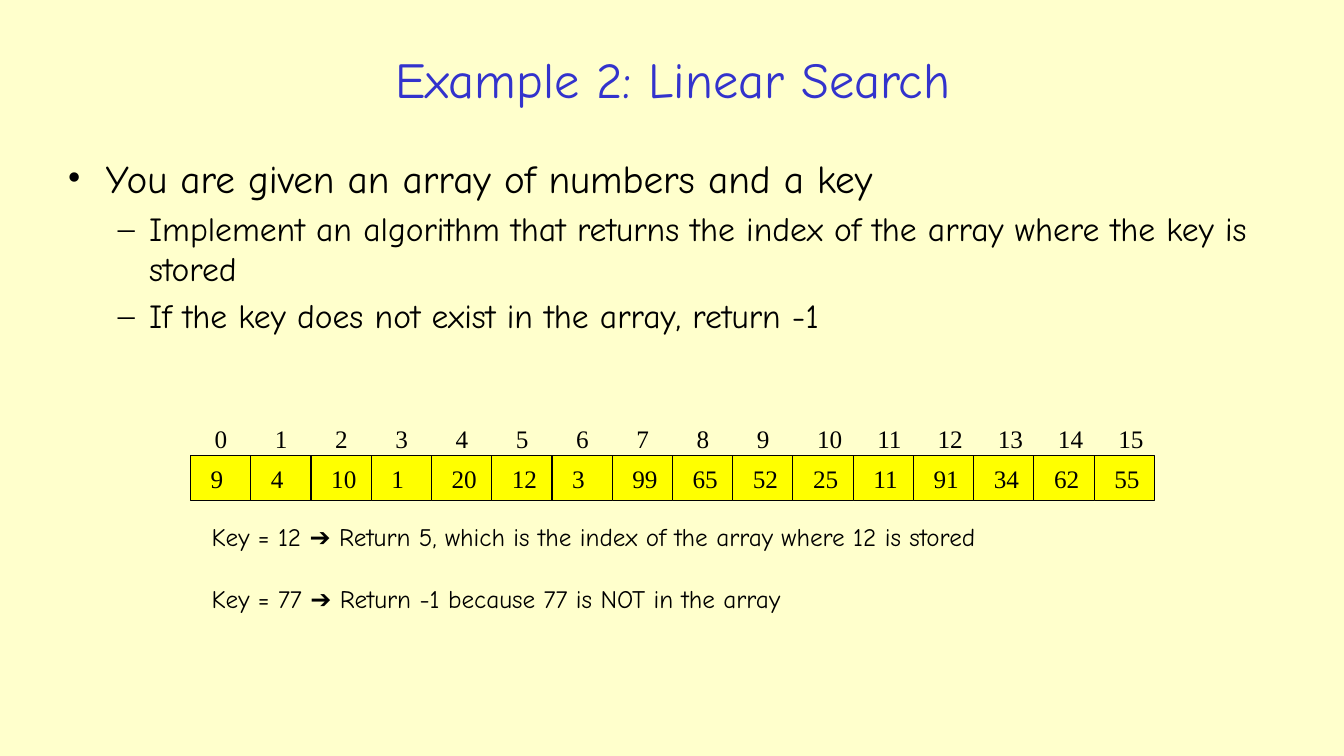
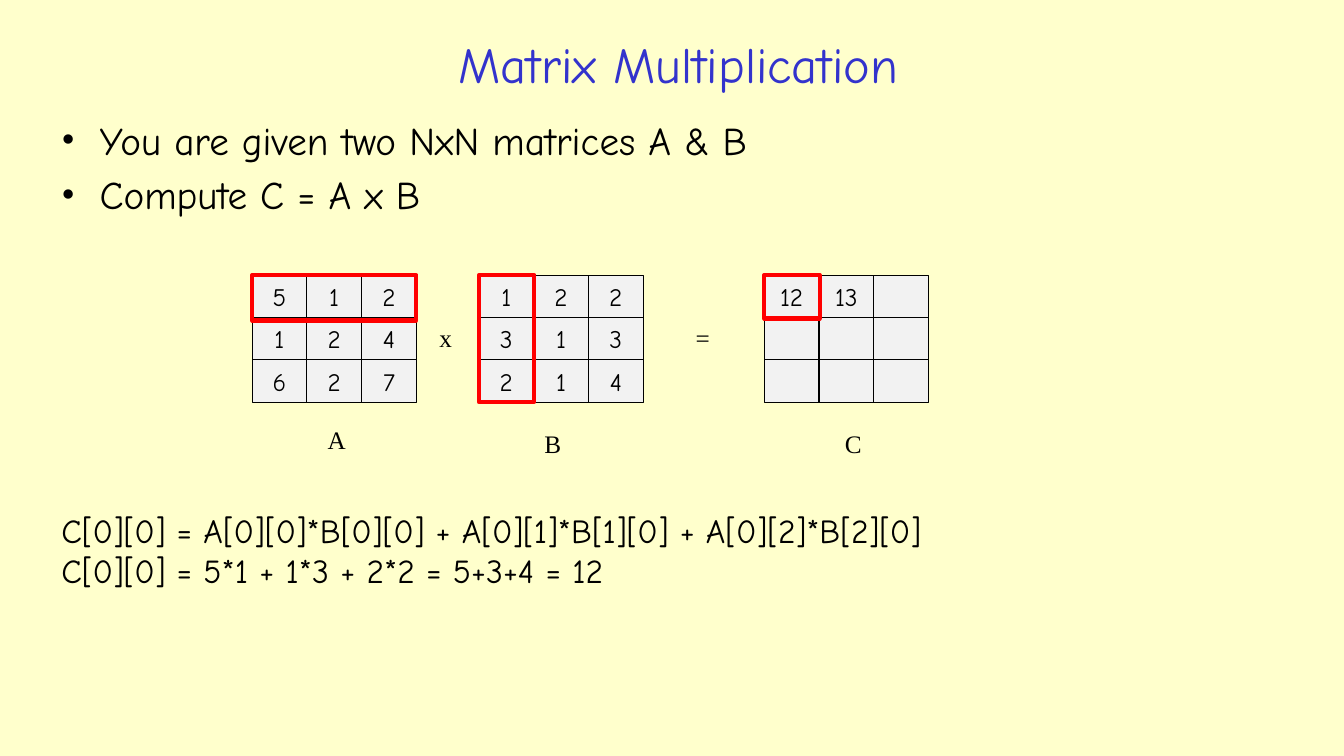
from lxml.etree import SubElement
from pptx import Presentation
from pptx.dml.color import RGBColor
from pptx.enum.shapes import MSO_SHAPE
from pptx.enum.text import MSO_ANCHOR, PP_ALIGN
from pptx.oxml.ns import qn
from pptx.util import Inches, Pt

COLORS = {
    "background": "FFFFCC",
    "title": "3333CC",
    "text": "000000",
    "array": "FFFF00",
    "matrix": "F2F2F2",
    "highlight": "FF0000",
}
COMIC, TIMES = "Comic Neue", "Times New Roman"
FONTS = {
    "title": {"name": COMIC, "size": Pt(36)},
    "bullet": {"name": COMIC, "size": Pt(28)},
    "sub_bullet": {"name": COMIC, "size": Pt(24)},
    "formula": {"name": COMIC, "size": Pt(24)},
    "note": {"name": COMIC, "size": Pt(18)},
    "label": {"name": TIMES, "size": Pt(18)},
}
BULLETS = [
    {"char": "•", "font": "bullet", "left": 0.38, "hang": 0.38},
    {"char": "–", "font": "sub_bullet", "left": 0.81, "hang": 0.31},
]


class Deck:
    def __init__(self):
        self.prs = Presentation()
        self.prs.slide_width, self.prs.slide_height = Inches(13.33), Inches(7.5)

    def rgb(self, color):
        return RGBColor.from_string(COLORS[color])

    def new_slide(self):
        self.s = self.prs.slides.add_slide(self.prs.slide_layouts[6])
        fill = self.s.background.fill
        fill.solid()
        fill.fore_color.rgb = self.rgb("background")

    def add_text(self, p, text, font, color="text", align=PP_ALIGN.LEFT):
        p.alignment = align
        r = p.add_run()
        r.text = text
        for attr, value in FONTS[font].items():
            setattr(r.font, attr, value)
        r.font.color.rgb = self.rgb(color)

    def frame(self, x, y, w, h, wrap=True):
        tf = self.s.shapes.add_textbox(*map(Inches, (x, y, w, h))).text_frame
        tf.word_wrap = wrap
        return tf

    def title(self, text, x, y, w, h):
        tf = self.frame(x, y, w, h)
        tf.vertical_anchor = MSO_ANCHOR.MIDDLE
        self.add_text(tf.paragraphs[0], text, "title", "title", PP_ALIGN.CENTER)

    def lines(self, texts, font, x, y, w, h, wrap=True):
        tf = self.frame(x, y, w, h, wrap)
        for i, text in enumerate(texts):
            p = tf.add_paragraph() if i else tf.paragraphs[0]
            self.add_text(p, text, font)

    def label(self, text, x, y):
        self.lines([text], "label", x, y, 0.45, 0.4, wrap=False)

    def bullets(self, items, x, y, w, h):
        tf = self.frame(x, y, w, h)
        for i, (level, text) in enumerate(items):
            p = tf.add_paragraph() if i else tf.paragraphs[0]
            style = BULLETS[level]
            p.level = level
            if i:
                p.space_before = int(FONTS[style["font"]]["size"] * 0.2)
            pPr = p._p.get_or_add_pPr()
            pPr.set("marL", str(Inches(style["left"])))
            pPr.set("indent", str(-Inches(style["hang"])))
            SubElement(pPr, qn("a:buFont")).set("typeface", TIMES)
            SubElement(pPr, qn("a:buChar")).set("char", style["char"])
            self.add_text(p, text, style["font"])

    def rect(self, x, y, w, h, fill=None, line="text", weight=0.75):
        sp = self.s.shapes.add_shape(MSO_SHAPE.RECTANGLE, *map(Inches, (x, y, w, h)))
        sp.shadow.inherit = False
        if fill:
            sp.fill.solid()
            sp.fill.fore_color.rgb = self.rgb(fill)
        else:
            sp.fill.background()
        sp.line.color.rgb = self.rgb(line)
        sp.line.width = Pt(weight)
        return sp

    def cell(self, text, x, y, w, h, fill, font, align, inset):
        tf = self.rect(x, y, w, h, fill).text_frame
        tf.margin_left = Inches(inset)
        tf.margin_right = Inches(0 if align == PP_ALIGN.LEFT else inset)
        tf.margin_top = tf.margin_bottom = 0
        tf.vertical_anchor = MSO_ANCHOR.MIDDLE
        if text:
            self.add_text(tf.paragraphs[0], text, font, align=align)

    def array(self, values, x, y, w, h):
        for i, value in enumerate(values):
            left = x + i * w
            self.cell(str(value), left, y, w, h, "array", "label", PP_ALIGN.LEFT, 0.2)
            self.label(str(i), left + 0.14, y - 0.37)

    def matrix(self, rows, x, y, w, h):
        for i, row in enumerate(rows):
            for j, value in enumerate(row):
                self.cell(value, x + j * w, y + i * h, w, h,
                          "matrix", "note", PP_ALIGN.CENTER, 0.05)

    def highlight(self, x, y, w, h):
        self.rect(x, y, w, h, line="highlight", weight=3)


def linear_search(deck):
    deck.new_slide()
    deck.title("Example 2: Linear Search", 2.04, 0.26, 9.27, 1.03)
    deck.bullets([
        (0, "You are given an array of numbers and a key"),
        (1, "Implement an algorithm that returns the index of the array "
            "where the key is stored"),
        (1, "If the key does not exist in the array, return -1"),
    ], 0.57, 1.48, 12.29, 2.09)
    values = [9, 4, 10, 1, 20, 12, 3, 99, 65, 52, 25, 11, 91, 34, 62, 55]
    deck.array(values, 1.89, 4.52, 9.56 / len(values), 0.45)
    notes = [
        "Key = 12 ➔ Return 5, which is the index of the array where 12 is stored",
        "Key = 77 ➔ Return -1 because 77 is NOT in the array",
    ]
    for i, note in enumerate(notes):
        deck.lines([note], "note", 2, 5.12 + i * 0.62, 9.16, 0.4)


def matrix_multiplication(deck):
    deck.new_slide()
    deck.title("Matrix Multiplication", 1.96, 0.15, 9.54, 0.95)
    deck.bullets([
        (0, "You are given two NxN matrices A & B"),
        (0, "Compute C = A x B"),
    ], 0.51, 1.1, 12.34, 1.14)
    top, w, h = 2.73, 1.63 / 3, 0.42
    a_left, b_left, c_left = 2.5, 4.75, 7.58
    deck.matrix(["512", "124", "627"], a_left, top, w, h)
    deck.matrix(["122", "313", "214"], b_left, top, w, h)
    deck.matrix([["12", "13", ""], [""] * 3, [""] * 3], c_left, top, w, h)
    for text, x, y in [("x", 4.26, 3.15), ("=", 6.8, 3.15),
                       ("A", 3.15, 4.16), ("B", 5.3, 4.2), ("C", 8.28, 4.2)]:
        deck.label(text, x, y)
    deck.lines([
        "C[0][0] = A[0][0]*B[0][0] + A[0][1]*B[1][0] + A[0][2]*B[2][0]",
        "C[0][0] = 5*1 + 1*3 + 2*2 = 5+3+4 = 12",
    ], "formula", 0.51, 5.01, 12.34, 0.91)
    deck.highlight(a_left, top, 3 * w, 0.45)
    deck.highlight(b_left, top, 0.55, 3 * h)
    deck.highlight(c_left, top, 0.55, 0.43)


def main():
    deck = Deck()
    linear_search(deck)
    matrix_multiplication(deck)
    deck.prs.save("out.pptx")


if __name__ == "__main__":
    main()
